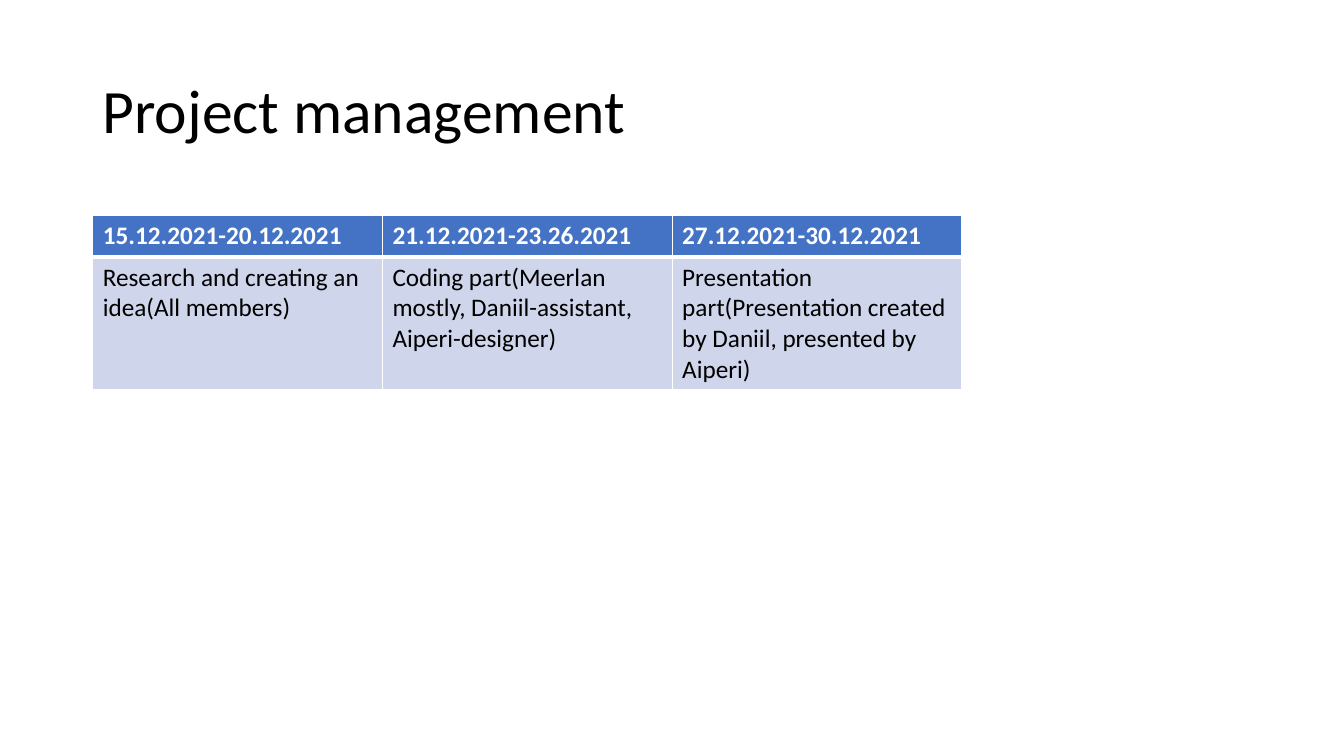
from lxml import etree
from pptx import Presentation, util as u
from pptx.dml.color import RGBColor
from pptx.enum import text
from pptx.oxml import ns

HUES = {"ink": "000000", "white": "FFFFFF", "head": "4472C4", "body": "CFD5EA"}
FONT = "Calibri"
WIDE, HIGH = 13.33, 7.5

PLAN = [
    ("15.12.2021-20.12.2021", "Research and creating an idea(All members)"),
    ("21.12.2021-23.26.2021",
     "Coding part(Meerlan mostly, Daniil-assistant, Aiperi-designer)"),
    ("27.12.2021-30.12.2021",
     "Presentation part(Presentation created by Daniil, presented by Aiperi)"),
]


def hue(name):
    return RGBColor.from_string(HUES[name])


def write(frame, words, size=18, color="ink", bold=False, lead=1.0):
    """Put one formatted paragraph into a text frame."""
    para = frame.paragraphs[0]
    para.line_spacing = lead
    run = para.add_run()
    run.text = words
    font = run.font
    font.name, font.size, font.bold = FONT, u.Pt(size), bold
    font.color.rgb = hue(color)


def edge(cell, sides):
    """Draw white cell borders; sides maps L, R, T, B to points."""
    props = cell._tc.get_or_add_tcPr()
    for side, width in sides.items():
        line = etree.SubElement(props, ns.qn(f"a:ln{side}"), w=str(u.Pt(width)))
        fill = etree.SubElement(line, ns.qn("a:solidFill"))
        etree.SubElement(fill, ns.qn("a:srgbClr"), val=HUES["white"])


class Board:
    """Current slide, with places given as shares of its size."""

    def __init__(self, deck):
        self.wide, self.high = deck.slide_width, deck.slide_height
        self.slide = deck.slides.add_slide(deck.slide_layouts[6])
        back = self.slide.background.fill
        back.solid()
        back.fore_color.rgb = hue("white")

    def place(self, left, top, width, height):
        return (round(left * self.wide), round(top * self.high),
                round(width * self.wide), round(height * self.high))

    def title(self, words, *box):
        frame = self.slide.shapes.add_textbox(*self.place(*box)).text_frame
        frame.word_wrap = True
        frame.vertical_anchor = text.MSO_ANCHOR.MIDDLE
        write(frame, words, size=44, lead=0.9)

    def table(self, rows, highs, *box):
        grid = self.slide.shapes.add_table(
            len(rows), len(rows[0]), *self.place(*box)).table
        for r, (row, high) in enumerate(zip(rows, highs)):
            grid.rows[r].height = round(high * self.high)
            top = r == 0
            for c, words in enumerate(row):
                cell = grid.cell(r, c)
                edge(cell, {"L": 1, "R": 1, "T": 1 if top else 3,
                            "B": 3 if top else 1})
                cell.fill.solid()
                cell.fill.fore_color.rgb = hue("head" if top else "body")
                write(cell.text_frame, words, bold=top,
                      color="white" if top else "ink")


def main():
    deck = Presentation()
    deck.slide_width, deck.slide_height = u.Inches(WIDE), u.Inches(HIGH)
    board = Board(deck)

    # Heading
    left = 0.92 / WIDE
    board.title("Project management", left, 0.4 / HIGH, 11.5 / WIDE, 1.45 / HIGH)

    # Schedule: dates above tasks
    highs = [0.41 / HIGH, 1.32 / HIGH]
    board.table(list(zip(*PLAN)), highs,
                left, 2.14 / HIGH, 8.62 / WIDE, sum(highs))

    deck.save("out.pptx")


if __name__ == "__main__":
    main()
